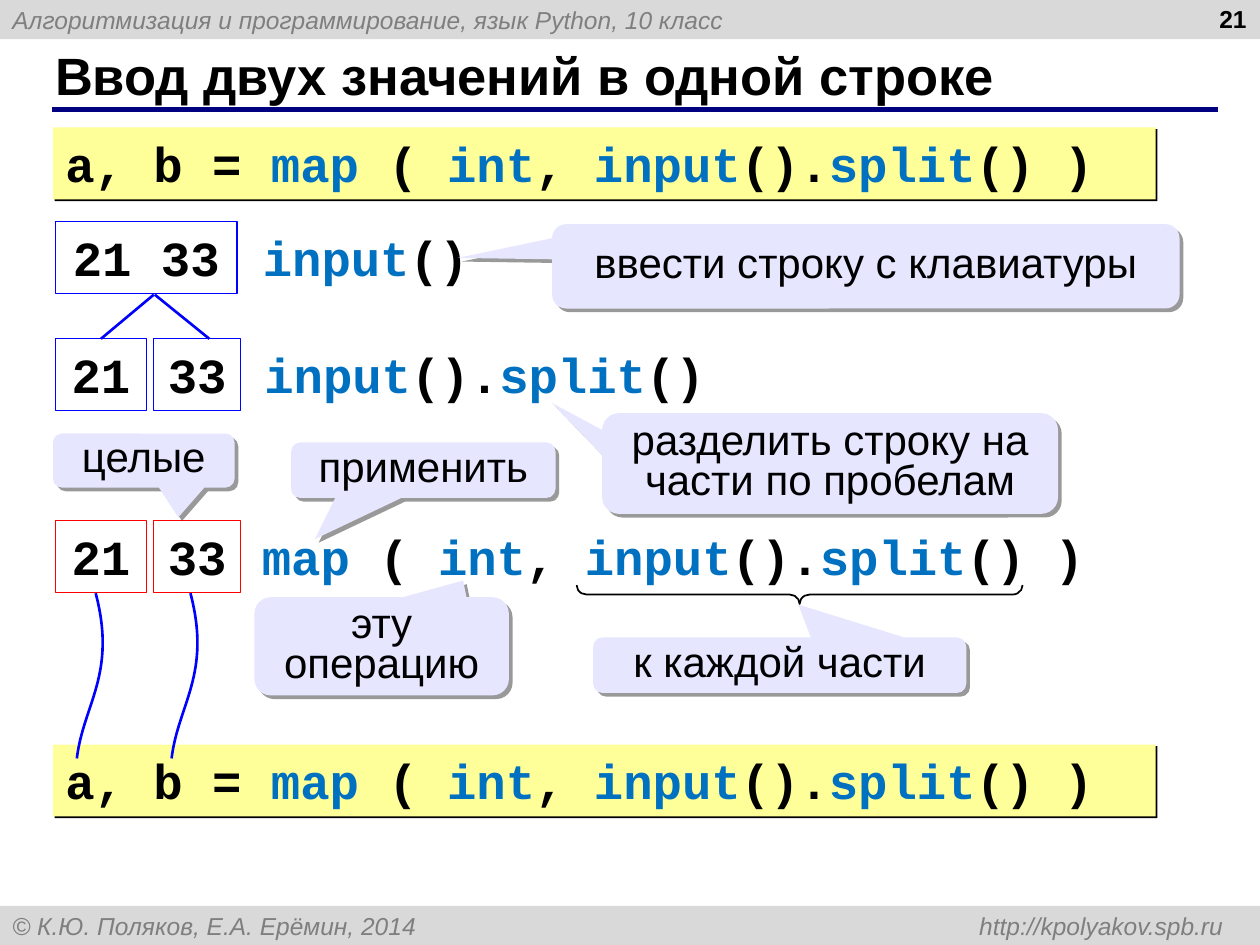
from lxml.etree import SubElement
from pptx import Presentation
from pptx.dml.color import RGBColor
from pptx.enum.shapes import MSO_CONNECTOR, MSO_SHAPE
from pptx.enum.text import MSO_ANCHOR, PP_ALIGN
from pptx.oxml.ns import qn
from pptx.util import Cm, Pt

BLACK, GREY, BLUE, RED = "000000", "7F7F7F", "0000FF", "FF0000"
FUNCTION_BLUE, PALE_GREY, NAVY = "0070C0", "D9D9D9", "000080"
YELLOW, LILAC = "FFFF99", "E6E6FF"

# Function names stand between bars.
SPLIT_CALL = "|input|().|split|()"
MAP_CALL = f"|map| ( |int|, {SPLIT_CALL} )"
ASSIGNMENT = f"a, b = {MAP_CALL}"

CODE_HEIGHT = 1.45
INPUT_ROW, SPLIT_ROW, MAP_ROW = 4.47, 6.83, 10.49


def colour(hex_code):
    return RGBColor.from_string(hex_code)


class SlideBuilder:
    code_font, text_font = "Courier New", "Arial"

    def __init__(self, page):
        self.page = page
        self.shapes = page.shapes

    def fill_text(self, box, text, size, text_colour=BLACK, bold=False, italic=False,
                  align=PP_ALIGN.LEFT, anchor=MSO_ANCHOR.MIDDLE, spacing=None, tab=None):
        frame = box.text_frame
        frame.word_wrap = True
        frame.vertical_anchor = anchor
        para = frame.paragraphs[0]
        para.alignment = align
        para.line_spacing = spacing
        if tab:
            stops = SubElement(para._p.get_or_add_pPr(), qn("a:tabLst"))
            SubElement(stops, qn("a:tab"), pos=str(Cm(tab)), algn="r")
        font = para.font
        font.name, font.size = self.text_font, Pt(size)
        font.bold, font.italic = bold, italic
        font.color.rgb = colour(text_colour)
        para.add_run().text = text

    def fill_code(self, box, code, align=PP_ALIGN.LEFT):
        """Set code in a box, colouring the parts that stand between bars."""
        frame = box.text_frame
        frame.word_wrap = True
        frame.vertical_anchor = MSO_ANCHOR.TOP
        para = frame.paragraphs[0]
        para.alignment = align
        font = para.font
        font.name, font.size, font.bold = self.code_font, Pt(28), True
        for index, part in enumerate(code.split("|")):
            if part:
                span = para.add_run()
                span.text = part
                span.font.color.rgb = colour(FUNCTION_BLUE if index % 2 else BLACK)

    def shape(self, kind, left, top, width, height, fill=None, line=None, weight=0.75):
        box = self.shapes.add_shape(kind, Cm(left), Cm(top), Cm(width), Cm(height))
        self.paint(box, fill, line, weight)
        return box

    def paint(self, box, fill, line, weight):
        box.shadow.inherit = False
        if fill:
            box.fill.solid()
            box.fill.fore_color.rgb = colour(fill)
        else:
            box.fill.background()
        if line:
            box.line.color.rgb = colour(line)
            box.line.width = Pt(weight)
        else:
            box.line.fill.background()

    def cast_shadow(self, box, distance, opacity):
        effects = box._element.spPr.find(qn("a:effectLst"))
        shadow = SubElement(effects, qn("a:outerShdw"), dist=str(Pt(distance)),
                            dir="2700000", algn="ctr", rotWithShape="0")
        tint = SubElement(shadow, qn("a:srgbClr"), val=BLACK)
        SubElement(tint, qn("a:alpha"), val=str(opacity * 1000))

    def text(self, text, left, top, width, height, size, **style):
        box = self.shapes.add_textbox(Cm(left), Cm(top), Cm(width), Cm(height))
        self.fill_text(box, text, size, **style)

    def band(self, text, top, tab=None):
        box = self.shape(MSO_SHAPE.RECTANGLE, 0, top, 25.4, 0.79, PALE_GREY)
        self.fill_text(box, text, 14, GREY, italic=True, tab=tab)

    def code(self, code, left, top, width):
        box = self.shapes.add_textbox(Cm(left), Cm(top), Cm(width), Cm(CODE_HEIGHT))
        self.fill_code(box, code)

    def code_panel(self, code, top):
        box = self.shape(MSO_SHAPE.RECTANGLE, 1.07, top, 22.23, CODE_HEIGHT, YELLOW)
        self.cast_shadow(box, 1.4, 100)
        self.fill_code(box, code)

    def cell(self, value, left, top, width, line):
        box = self.shape(MSO_SHAPE.RECTANGLE, left, top, width, CODE_HEIGHT, line=line)
        self.fill_code(box, value, PP_ALIGN.CENTER)
        return box

    def callout(self, text, left, top, width, height, tip_x, tip_y):
        """Add a callout whose tip is given in shares of its size from its centre."""
        box = self.shape(MSO_SHAPE.ROUNDED_RECTANGULAR_CALLOUT,
                         left, top, width, height, LILAC)
        box.adjustments[0], box.adjustments[1] = tip_x, tip_y
        self.cast_shadow(box, 3, 40)
        self.fill_text(box, text, 24, align=PP_ALIGN.CENTER, spacing=0.8)

    def line(self, x1, y1, x2, y2, line, weight):
        link = self.shapes.add_connector(MSO_CONNECTOR.STRAIGHT,
                                         Cm(x1), Cm(y1), Cm(x2), Cm(y2))
        link.line.color.rgb = colour(line)
        link.line.width = Pt(weight)
        SubElement(link._element.spPr, qn("a:effectLst"))
        return link

    def curve(self, points, line, weight):
        """Draw one cubic curve from its start, two control points and end."""
        start, *rest = [(Cm(x), Cm(y)) for x, y in points]
        builder = self.shapes.build_freeform(*start)
        builder.add_line_segments(rest, close=False)
        box = builder.convert_to_shape()
        outline = box._element.spPr.find(".//" + qn("a:path"))
        bezier = SubElement(outline, qn("a:cubicBezTo"))
        for segment in outline.findall(qn("a:lnTo")):
            bezier.append(segment[0])
            outline.remove(segment)
        self.paint(box, None, line, weight)


def main():
    deck = Presentation()
    deck.slide_width, deck.slide_height = Cm(25.4), Cm(19.05)
    slide = SlideBuilder(deck.slides.add_slide(deck.slide_layouts[6]))

    slide.band("Алгоритмизация и программирование, язык Python, 10 класс", 0)
    slide.band("© К.Ю. Поляков, Е.А. Ерёмин, 2014 \thttp://kpolyakov.spb.ru", 18.26, tab=24.41)
    slide.line(1.04, 2.21, 24.56, 2.21, NAVY, 3)
    slide.text("Ввод двух значений в одной строке", 0.86, 0.84, 23.27, 1.32, 30, bold=True)
    slide.text("21", 19.46, -0.05, 5.92, 1.32, 14, bold=True,
               align=PP_ALIGN.RIGHT, anchor=MSO_ANCHOR.TOP)

    slide.code_panel(ASSIGNMENT, 2.57)
    slide.code("|input|()", 5.05, INPUT_ROW, 4.65)
    slide.callout("ввести строку с клавиатуры", 11.13, 4.52, 12.65, 1.7, -0.65, -0.1)
    slide.cell("21 33", 1.12, INPUT_ROW, 3.66, BLUE)

    slide.code(SPLIT_CALL, 5.08, SPLIT_ROW, 9.98)
    slide.code(MAP_CALL, 5.03, MAP_ROW, 18.75)
    first_cells = []
    for top, line in ((SPLIT_ROW, BLUE), (MAP_ROW, RED)):
        first_cells.append(slide.cell("21", 1.12, top, 1.83, line))
        slide.cell("33", 3.1, top, 1.75, line)

    for callout in (
        ("разделить строку на части по пробелам", 12.14, 8.33, 9.19, 2.03, -0.61, -0.6),
        ("целые", 1.07, 8.74, 3.66, 1.09, 0.19, 1.05),
        ("применить", 5.87, 8.92, 5.33, 1.12, -0.41, 1.24),
        ("эту операцию", 5.13, 12.04, 5.13, 1.98, 0.32, -0.67),
        ("к каждой части", 11.96, 12.85, 7.52, 1.12, 0.05, -1.09),
    ):
        slide.callout(*callout)
    brace = slide.shape(MSO_SHAPE.LEFT_BRACE, 15.93, 7.49, 0.38, 8.99, line=BLACK, weight=1)
    brace.rotation = 270
    brace.adjustments[0] = 0.53

    slide.code_panel(ASSIGNMENT, 15.01)
    for shift in (0, 1.91):
        points = ((1.93, 11.96), (2.36, 13.59), (1.68, 14.2), (1.55, 15.29))
        slide.curve([(x + shift, y) for x, y in points], BLUE, 1.5)

    left_branch = slide.line(3.1, 5.94, 2.03, SPLIT_ROW, BLUE, 1.5)
    left_branch.end_connect(first_cells[0], 0)
    slide.line(3.12, 5.94, 4.22, SPLIT_ROW, BLUE, 1.5)

    deck.save("out.pptx")


if __name__ == "__main__":
    main()
